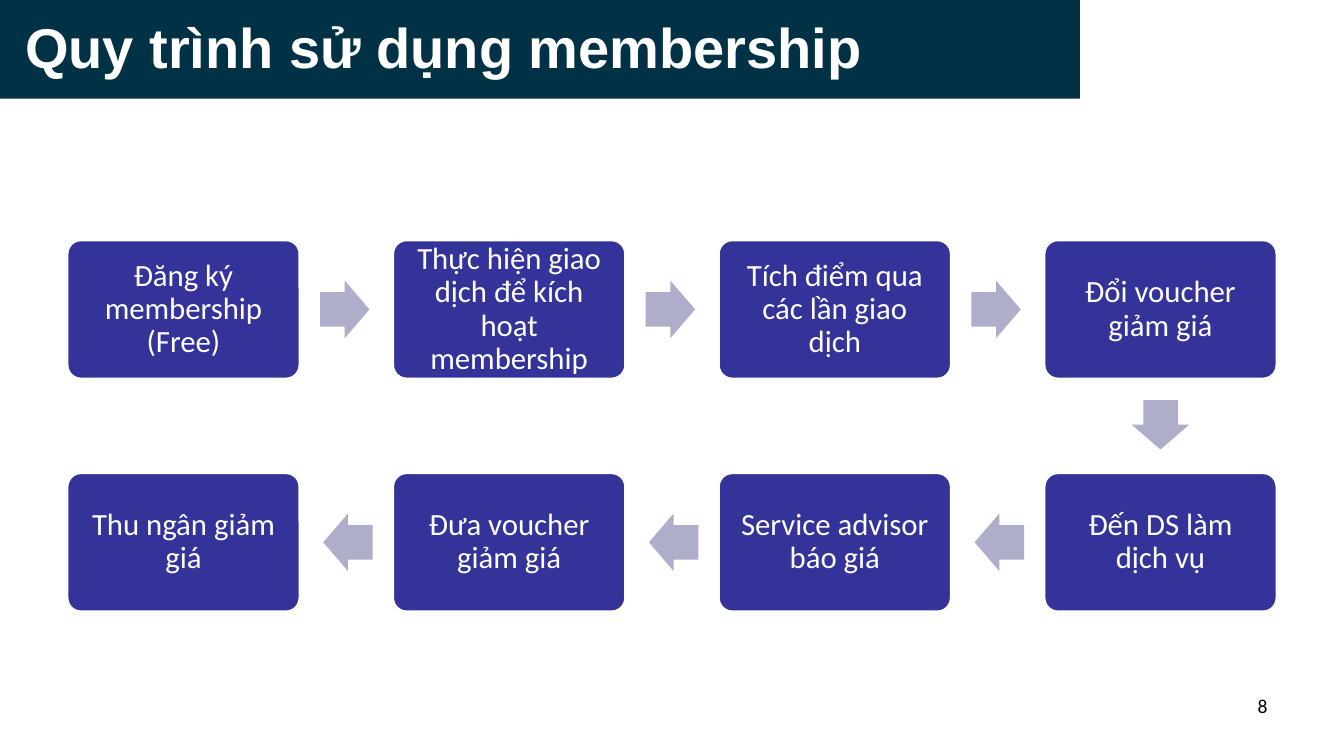
"""Build the slide that shows the membership process as a winding flow of steps."""
import dataclasses
import itertools

import pptx
import pptx.dml.color
import pptx.enum.shapes
import pptx.enum.text
import pptx.util

Inches = pptx.util.Inches
Pt = pptx.util.Pt
Shape = pptx.enum.shapes.MSO_SHAPE
Align = pptx.enum.text.PP_ALIGN
Anchor = pptx.enum.text.MSO_ANCHOR

COLORS = {"banner": "003145", "step": "333399", "arrow": "AEAECA",
          "white": "FFFFFF", "black": "000000"}
STEP_WIDTH, STEP_HEIGHT = 2.31, 1.38
ARROW_WIDTH, ARROW_HEIGHT = 0.49, 0.57
FIRST_X, FIRST_Y = 1.82, 3.07
COLUMN_PITCH, ROW_PITCH = 3.23, 2.31
ARROW_SHARE = 0.495
COLUMNS = 4
STEPS = (
    "Đăng ký membership (Free)",
    "Thực hiện giao dịch để kích hoạt membership",
    "Tích điểm qua các lần giao dịch",
    "Đổi voucher giảm giá",
    "Đến DS làm dịch vụ",
    "Service advisor báo giá",
    "Đưa voucher giảm giá",
    "Thu ngân giảm giá",
)


@dataclasses.dataclass(frozen=True)
class Step:
    """A process step with its place in the grid."""
    text: str
    column: int
    row: int

    @property
    def x(self) -> float:
        """Return the horizontal centre in inches."""
        return FIRST_X + self.column * COLUMN_PITCH

    @property
    def y(self) -> float:
        """Return the vertical centre in inches."""
        return FIRST_Y + self.row * ROW_PITCH


def color(name: str) -> pptx.dml.color.RGBColor:
    """Look up a colour of the palette."""
    return pptx.dml.color.RGBColor.from_string(COLORS[name])


def place_step(index: int, text: str) -> Step:
    """Place a step, running every second row from right to left."""
    row, column = divmod(index, COLUMNS)
    return Step(text, COLUMNS - 1 - column if row % 2 else column, row)


def add_filled(page, kind, left: float, top: float, width: float, height: float, fill: str):
    """Add a flat shape without outline."""
    shape = page.shapes.add_shape(kind, Inches(left), Inches(top), Inches(width), Inches(height))
    shape.shadow.inherit = False
    shape.fill.solid()
    shape.fill.fore_color.rgb = color(fill)
    shape.line.fill.background()
    return shape


def set_text(shape, text: str, font: str, size: int, ink: str, align) -> None:
    """Write one formatted paragraph into a shape."""
    shape.text_frame.text = text
    shape.text_frame.word_wrap = True
    para = shape.text_frame.paragraphs[0]
    para.alignment = align
    para.font.name = font
    para.font.size = Pt(size)
    para.font.color.rgb = color(ink)


def add_step(page, step: Step) -> None:
    """Draw a step as a rounded box."""
    box = add_filled(page, Shape.ROUNDED_RECTANGLE, step.x - STEP_WIDTH / 2,
                     step.y - STEP_HEIGHT / 2, STEP_WIDTH, STEP_HEIGHT, "step")
    box.adjustments[0] = 0.1
    box.line.color.rgb = color("white")
    box.line.width = Pt(2)
    set_text(box, step.text, "Calibri", 22, "white", Align.CENTER)
    frame = box.text_frame
    frame.vertical_anchor = Anchor.MIDDLE
    frame.margin_left = frame.margin_right = Inches(0.13)
    frame.margin_top = frame.margin_bottom = Inches(0.13)
    frame.paragraphs[0].line_spacing = 0.9


def add_arrow(page, start: Step, end: Step) -> None:
    """Draw a block arrow between two neighbouring steps."""
    x = start.x + (end.x - start.x) * ARROW_SHARE
    y = start.y + (end.y - start.y) * ARROW_SHARE
    arrow = add_filled(page, Shape.RIGHT_ARROW, x - ARROW_WIDTH / 2, y - ARROW_HEIGHT / 2,
                       ARROW_WIDTH, ARROW_HEIGHT, "arrow")
    arrow.adjustments[0] = 0.6
    arrow.adjustments[1] = 0.5
    if end.row > start.row:
        arrow.rotation = 90
    elif end.column < start.column:
        arrow.rotation = 180


def add_title(page, text: str) -> None:
    """Format the title placeholder and lay the banner behind it."""
    title = page.shapes.title
    title.left, title.top = Inches(0), Inches(-0.04)
    title.width, title.height = Inches(11.31), Inches(0.99)
    set_text(title, text, "Arial", 40, "white", Align.LEFT)
    title.text_frame.paragraphs[0].font.bold = True
    title.text_frame.vertical_anchor = Anchor.MIDDLE
    title.text_frame.auto_size = pptx.enum.text.MSO_AUTO_SIZE.NONE
    title.text_frame.margin_left = Inches(0.25)
    banner = add_filled(page, Shape.RECTANGLE, 0, 0, 10.71, 0.98, "banner")
    title.element.addprevious(banner.element)


def add_page_number(page, number: str) -> None:
    """Write the page number at the lower right."""
    box = page.shapes.add_textbox(Inches(9.56), Inches(6.83), Inches(3.11), Inches(0.52))
    set_text(box, number, "Calibri", 14, "black", Align.RIGHT)


def main() -> None:
    """Build and save the deck."""
    deck = pptx.Presentation()
    deck.slide_width, deck.slide_height = Inches(13.33), Inches(7.5)
    page = deck.slides.add_slide(deck.slide_layouts.get_by_name("Title Only"))
    add_title(page, "Quy trình sử dụng membership")
    add_page_number(page, "8")
    steps = [place_step(index, text) for index, text in enumerate(STEPS)]
    for step in steps:
        add_step(page, step)
    for start, end in itertools.pairwise(steps):
        add_arrow(page, start, end)
    deck.save("out.pptx")


main()
